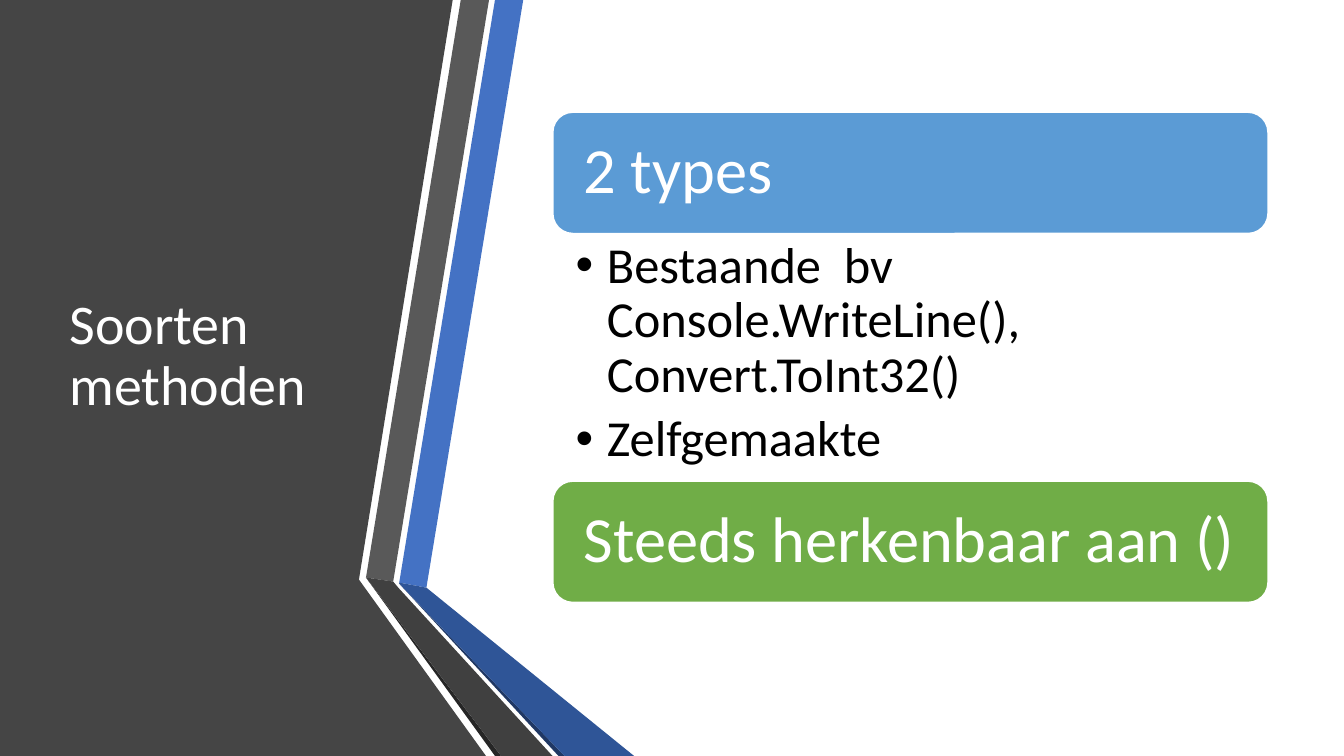
from lxml import etree
from pptx import Presentation
from pptx.dml.color import RGBColor
from pptx.enum.shapes import MSO_SHAPE
from pptx.enum.text import MSO_ANCHOR, PP_ALIGN
from pptx.oxml.ns import qn
from pptx.util import Inches, Pt

ROUND = MSO_SHAPE.ROUNDED_RECTANGLE
MIDDLE = MSO_ANCHOR.MIDDLE
TOP = MSO_ANCHOR.TOP
LEFT = PP_ALIGN.LEFT

HEX = {
    "panel": "454545", "blue": "4472C4", "gray": "595959",
    "black": "262626", "navy": "203864", "deep": "2F5597",
    "dark": "404040", "sky": "5B9BD5", "green": "70AD47",
    "white": "FFFFFF", "ink": "000000",
}
RGB = {name: RGBColor.from_string(code) for name, code in HEX.items()}

UNIT = Inches(0.01)
WIDE, HIGH = 1333, 750

deck = Presentation()
deck.slide_width = Inches(13.33)
deck.slide_height = Inches(7.5)
slide = deck.slides.add_slide(deck.slide_layouts[6])
shapes = slide.shapes


def write(shape, lines, size, color, anchor, pads):
    frame = shape.text_frame
    frame.word_wrap = True
    frame.vertical_anchor = anchor
    frame.margin_left, frame.margin_top, frame.margin_right, frame.margin_bottom = [
        pad * UNIT for pad in pads]
    frame.text = "\n".join(lines)
    for par in frame.paragraphs:
        par.alignment = LEFT
        par.line_spacing = 0.9
        for run in par.runs:
            run.font.name = "Calibri"
            run.font.size = Pt(size)
            run.font.color.rgb = RGB[color]
    return frame


bands = [
    ("panel", [(0, 0), (449, 0), (356, 575), (482, HIGH), (0, HIGH)]),
    ("blue", [(396, 578), (423, 583), (519, 0), (491, 0)]),
    ("gray", [(485, 0), (457, 0), (363, 573), (390, 577)]),
    ("black", [(363, 573), (491, HIGH), (497, HIGH)]),
    ("navy", [(396, 579), (554, HIGH), (560, HIGH)]),
    ("deep", [(396, 578), (396, 579), (560, HIGH), (629, HIGH), (423, 583)]),
    ("dark", [(363, 573), (497, HIGH), (548, HIGH), (395, 583), (390, 577)]),
]
for color, points in bands:
    pen = shapes.build_freeform(*points[0], scale=UNIT)
    pen.add_line_segments(points[1:], close=True)
    band = pen.convert_to_shape()
    band.shadow.inherit = False
    band.fill.solid()
    band.fill.fore_color.rgb = RGB[color]
    band.line.fill.background()

title = shapes.add_textbox(59 * UNIT, HIGH // 10 * UNIT, 304 * UNIT, 558 * UNIT)
write(title, ["Soorten methoden"], 40, "white", MIDDLE, (10, 5, 10, 5))

left, top, width = 548, 111, 710
bar, gap = 121, 245
labels = [("2 types", "sky"), ("Steeds herkenbaar aan ()", "green")]
for row, (label, color) in enumerate(labels):
    box = shapes.add_shape(ROUND, left * UNIT, (top + row * (bar + gap)) * UNIT,
                           width * UNIT, bar * UNIT)
    box.shadow.inherit = False
    box.fill.solid()
    box.fill.fore_color.rgb = RGB[color]
    box.line.color.rgb = RGB["white"]
    box.line.width = Pt(1.5)
    write(box, [label], 46, "white", MIDDLE, (25, 19, 25, 19))

items = ["Bestaande  bv Console.WriteLine(), Convert.ToInt32()", "Zelfgemaakte"]
body = shapes.add_textbox(left * UNIT, (top + bar) * UNIT, width * UNIT, gap * UNIT)
frame = write(body, items, 36, "ink", TOP, (23, 6, 36, 6))
for par in frame.paragraphs:
    par.space_after = Pt(36 * 0.2)
    props = par._p.get_or_add_pPr()
    props.set("marL", str(31 * UNIT))
    props.set("indent", str(-31 * UNIT))
    etree.SubElement(props, qn("a:buFont")).set("typeface", "Arial")
    etree.SubElement(props, qn("a:buChar")).set("char", "•")

deck.save("out.pptx")
